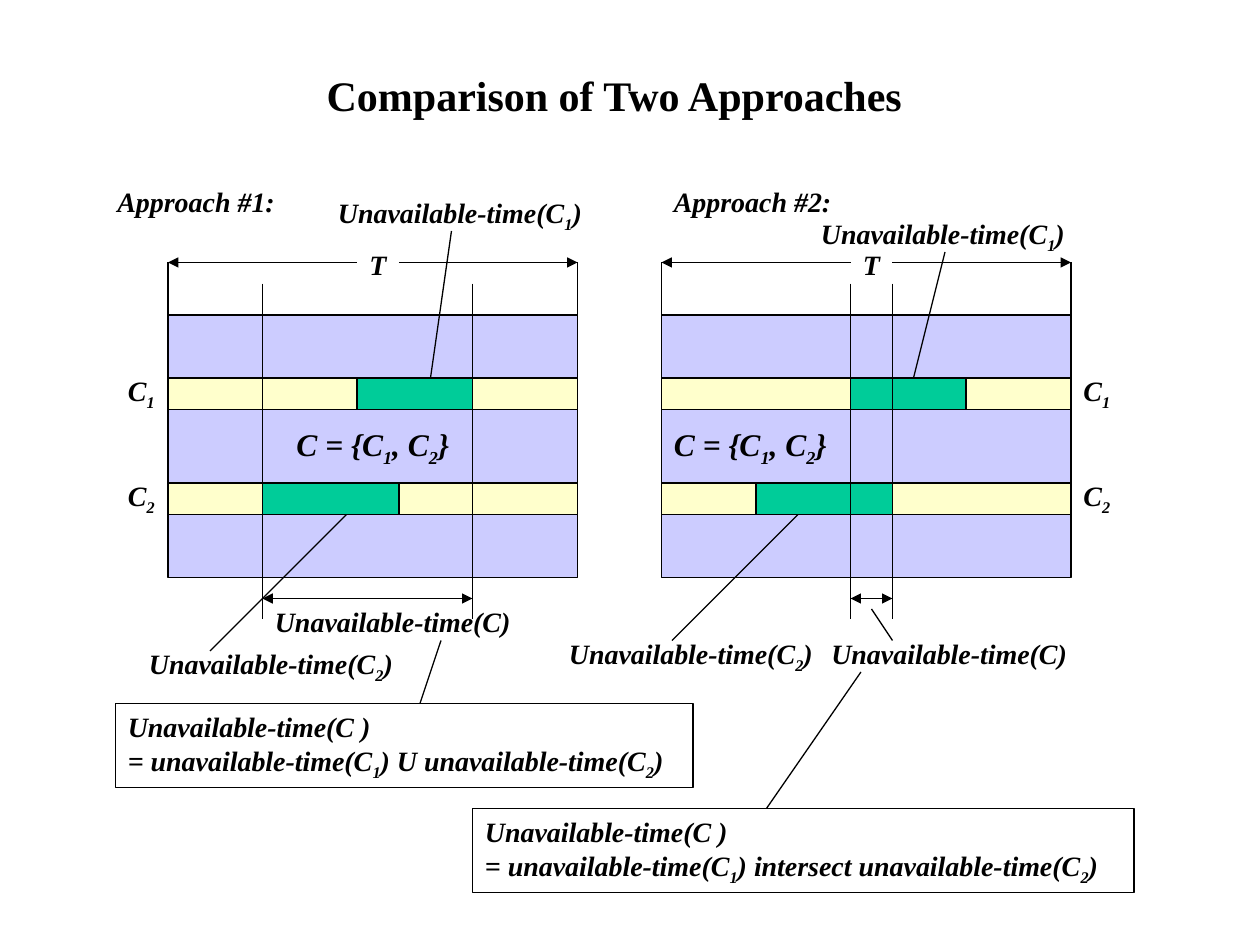
from pptx import Presentation
from pptx import util as u
from pptx.dml.color import RGBColor
from pptx.enum import shapes, text
from pptx.oxml.ns import qn
from lxml import etree

COLUMNS, ROWS = 120, 90
WIDTH, HEIGHT = u.Inches(10), u.Inches(7.5)
FONT = "Times New Roman"
BLACK, LILAC, CREAM, GREEN = "000000", "CCCCFF", "FFFFCC", "00CC99"
PANEL_TOP, PANEL_WIDTH, PANEL_HEIGHT = 30, 39, 25
BAR_HEIGHT = 3
C1_ROW, C2_ROW = 36, 46
C1_DOWN, C2_DOWN = (18, 29), (9, 22)
T_ROW, T_GAP = 25, (18, 22)


def color(value):
    return RGBColor.from_string(value)


def across(column):
    return round(WIDTH * column / COLUMNS)


def down(row):
    return round(HEIGHT * row / ROWS)


def place(left, top, width, height):
    return across(left), down(top), across(width), down(height)


def style(run, size, italic=True):
    font = run.font
    font.name, font.size = FONT, u.Pt(size)
    font.bold, font.italic = True, italic
    font.color.rgb = color(BLACK)


def write(frame, lines, size=16, align=text.PP_ALIGN.LEFT):
    for index, line in enumerate(lines.split("\n")):
        paragraph = frame.add_paragraph() if index else frame.paragraphs[0]
        paragraph.alignment = align
        plain, *marked = line.split("_")
        pieces = [(plain, False)]
        for part in marked:
            pieces += [(part[0], True), (part[1:], False)]
        for words, lowered in pieces:
            if words:
                run = paragraph.add_run()
                run.text = words
                style(run, size)
                if lowered:
                    run.font._element.set("baseline", "-25000")


def add_box(slide, area, fill=None):
    box = slide.shapes.add_shape(shapes.MSO_SHAPE.RECTANGLE, *place(*area))
    box.shadow.inherit = False
    if fill:
        box.fill.solid()
        box.fill.fore_color.rgb = color(fill)
    else:
        box.fill.background()
    box.line.color.rgb = color(BLACK)
    box.line.width = u.Pt(0.75)
    return box


def add_label(slide, left, top, width, words):
    height = 4.9 if "_" in words else 4.4
    label = slide.shapes.add_textbox(*place(left, top, width, height))
    label.text_frame.word_wrap = True
    write(label.text_frame, words)


def add_line(slide, start, end, arrows=()):
    line = slide.shapes.add_connector(
        shapes.MSO_CONNECTOR.STRAIGHT,
        across(start[0]), down(start[1]), across(end[0]), down(end[1]))
    line.line.color.rgb = color(BLACK)
    line.line.width = u.Pt(0.75)
    for arrow in arrows:
        etree.SubElement(line.line._get_or_add_ln(), qn(f"a:{arrow}"), type="triangle")
    etree.SubElement(line._element.spPr, qn("a:effectLst"))


def add_title(slide, words):
    title = slide.shapes.title
    title.left, title.top, title.width, title.height = place(15, 6, 87, 6)
    frame = title.text_frame
    frame.text = words
    frame.auto_size = text.MSO_AUTO_SIZE.NONE
    frame.vertical_anchor = text.MSO_ANCHOR.TOP
    frame.paragraphs[0].alignment = text.PP_ALIGN.CENTER
    style(frame.paragraphs[0].runs[0], 24, italic=False)


def add_bar(slide, left, row, outage):
    start, end = outage
    for begin, finish, fill in ((start, end, GREEN), (0, start, CREAM), (end, PANEL_WIDTH, CREAM)):
        add_box(slide, (left + begin, row, finish - begin, BAR_HEIGHT), fill)


def add_panel(slide, left, align, outage, names_left):
    panel = add_box(slide, (left, PANEL_TOP, PANEL_WIDTH, PANEL_HEIGHT), LILAC)
    panel.text_frame.word_wrap = False
    panel.text_frame.vertical_anchor = text.MSO_ANCHOR.MIDDLE
    write(panel.text_frame, "C = {C_1, C_2}", 18, align)
    add_bar(slide, left, C2_ROW, C2_DOWN)
    add_bar(slide, left, C1_ROW, C1_DOWN)

    start, end = (left + edge for edge in outage)
    for guide in (start, end):
        add_line(slide, (guide, 27), (guide, 59))
    add_line(slide, (start, 57), (end, 57), ("headEnd", "tailEnd"))

    right = left + PANEL_WIDTH
    for edge in (left, right):
        add_line(slide, (edge, T_ROW), (edge, PANEL_TOP))
    gap_start, gap_end = (left + edge for edge in T_GAP)
    add_line(slide, (left, T_ROW), (gap_start, T_ROW), ("headEnd",))
    add_line(slide, (gap_end, T_ROW), (right, T_ROW), ("tailEnd",))
    add_label(slide, gap_start, 23, 4, "T")
    for row, name in ((C1_ROW, "C_1"), (C2_ROW, "C_2")):
        add_label(slide, names_left, row - 1, 5.2, name)


def add_formula(slide, left, top, width, operator):
    formula = add_box(slide, (left, top, width, 8))
    formula.text_frame.word_wrap = True
    formula.text_frame.vertical_anchor = text.MSO_ANCHOR.TOP
    write(formula.text_frame,
          f"Unavailable-time(C )\n= unavailable-time(C_1) {operator} unavailable-time(C_2)")


def main():
    deck = Presentation()
    deck.slide_width, deck.slide_height = WIDTH, HEIGHT
    slide = deck.slides.add_slide(deck.slide_layouts[5])
    add_title(slide, "Comparison of Two Approaches")

    add_panel(slide, 16, text.PP_ALIGN.CENTER, (9, 29), names_left=11)
    add_panel(slide, 63, text.PP_ALIGN.LEFT, T_GAP, names_left=102)

    for left, top, width, words in (
        (10, 17, 19, "Approach #1:"),
        (63, 17, 19, "Approach #2:"),
        (31, 18, 26, "Unavailable-time(C_1)"),
        (77, 20, 27, "Unavailable-time(C_1)"),
        (13, 61, 26, "Unavailable-time(C_2)"),
        (53, 60, 26, "Unavailable-time(C_2)"),
        (25, 57, 25, "Unavailable-time(C)"),
        (78, 60, 25, "Unavailable-time(C)"),
    ):
        add_label(slide, left, top, width, words)

    add_formula(slide, 11, 67, 55, "U")
    add_formula(slide, 45, 77, 63, "intersect")

    for start, end in (
        ((43, 22), (41, 36)),
        ((33, 49), (20, 62)),
        ((42, 61), (40, 67)),
        ((90, 24), (87, 36)),
        ((76, 49), (64, 61)),
        ((83, 58), (85, 61)),
        ((82, 64), (73, 77)),
    ):
        add_line(slide, start, end)

    deck.save("out.pptx")


if __name__ == "__main__":
    main()
